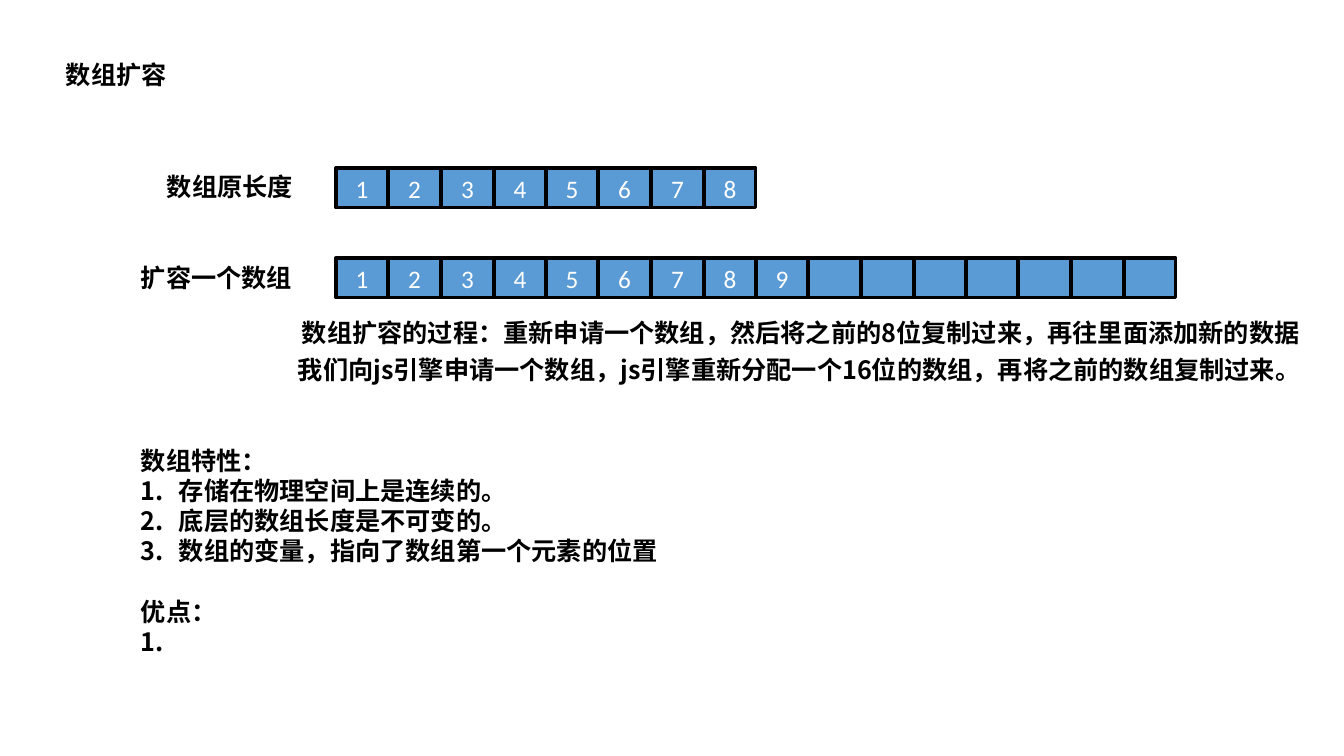
"""Builds a slide that explains how an array grows."""
from lxml import etree
from pptx import Presentation
from pptx import util as u
from pptx.dml.color import RGBColor
from pptx.enum import shapes, text
from pptx.oxml.ns import qn

PIXEL = 914400 / 100.8
BLACK, WHITE, BLUE = "000000", "FFFFFF", "5B9BD5"
CJK, LATIN = "Noto Sans CJK SC", "Calibri"
CELL_LEFT, CELL_PITCH, CELL_HEIGHT = 336, 52.5, 40
LABEL_HEIGHT, INDENT = 40, 38

LABELS = [
    (56, 54, 123, "数组扩容"),
    (157, 166, 148, "数组原长度"),
    (131, 257, 174, "扩容一个数组"),
    (292, 312, 1032, "数组扩容的过程：重新申请一个数组，然后将之前的8位复制过来，再往里面添加新的数据"),
    (288, 349, 1045, "我们向js引擎申请一个数组，js引擎重新分配一个16位的数组，再将之前的数组复制过来。"),
]
ARRAYS = [(168, 8, 8), (258, 16, 9)]
FEATURES_AT = (131, 440, 545, 224)
FEATURES_TITLE = "数组特性："
FEATURES = ["存储在物理空间上是连续的。", "底层的数组长度是不可变的。", "数组的变量，指向了数组第一个元素的位置"]
BENEFITS = ["优点：", "1."]


def px(length):
    return u.Emu(round(length * PIXEL))


def color(value):
    return RGBColor.from_string(value)


def write(para, words, font, shade, bold=False):
    para.text = words
    para.font.name, para.font.size, para.font.bold = font, u.Pt(18), bold
    para.font.fill.solid()
    para.font.fill.fore_color.rgb = color(shade)
    properties = para._p.find(qn("a:pPr")).find(qn("a:defRPr"))
    etree.SubElement(properties, qn("a:ea"), typeface=font)


def number(para):
    properties = para._p.get_or_add_pPr()
    properties.set("marL", str(px(INDENT)))
    properties.set("indent", str(-px(INDENT)))
    bullet = etree.Element(qn("a:buAutoNum"), type="arabicPeriod")
    properties.insert(0, bullet)


def add_text(slide, left, top, width, height, lines):
    box = slide.shapes.add_textbox(px(left), px(top), px(width), px(height))
    frame = box.text_frame
    frame.word_wrap = False
    frame.auto_size = text.MSO_AUTO_SIZE.SHAPE_TO_FIT_TEXT
    for index, words in enumerate(lines):
        para = frame.add_paragraph() if index else frame.paragraphs[0]
        write(para, words, CJK, BLACK, True)
    return frame.paragraphs


def add_cell(slide, index, top, words):
    left, right = (CELL_LEFT + round(step * CELL_PITCH) for step in (index, index + 1))
    cell = slide.shapes.add_shape(
        shapes.MSO_SHAPE.RECTANGLE, px(left), px(top), px(right - left), px(CELL_HEIGHT))
    cell.shadow.inherit = False
    cell.fill.solid()
    cell.fill.fore_color.rgb = color(BLUE)
    cell.line.color.rgb = color(BLACK)
    cell.line.width = u.Pt(2.25)
    if words:
        cell.text_frame.vertical_anchor = text.MSO_ANCHOR.MIDDLE
        para = cell.text_frame.paragraphs[0]
        para.alignment = text.PP_ALIGN.CENTER
        write(para, words, LATIN, WHITE)


deck = Presentation()
deck.slide_width, deck.slide_height = px(1344), px(756)
page = deck.slides.add_slide(deck.slide_layouts[6])

for left, top, width, words in LABELS:
    add_text(page, left, top, width, LABEL_HEIGHT, [words])

for top, length, filled in ARRAYS:
    for index in range(length):
        add_cell(page, index, top, str(index + 1) if index < filled else "")

paras = add_text(page, *FEATURES_AT, [FEATURES_TITLE, *FEATURES, *BENEFITS])
for para in paras[1:len(FEATURES) + 1]:
    number(para)
paras[len(FEATURES) + 1].space_before = u.Pt(21.5)

deck.save("out.pptx")
